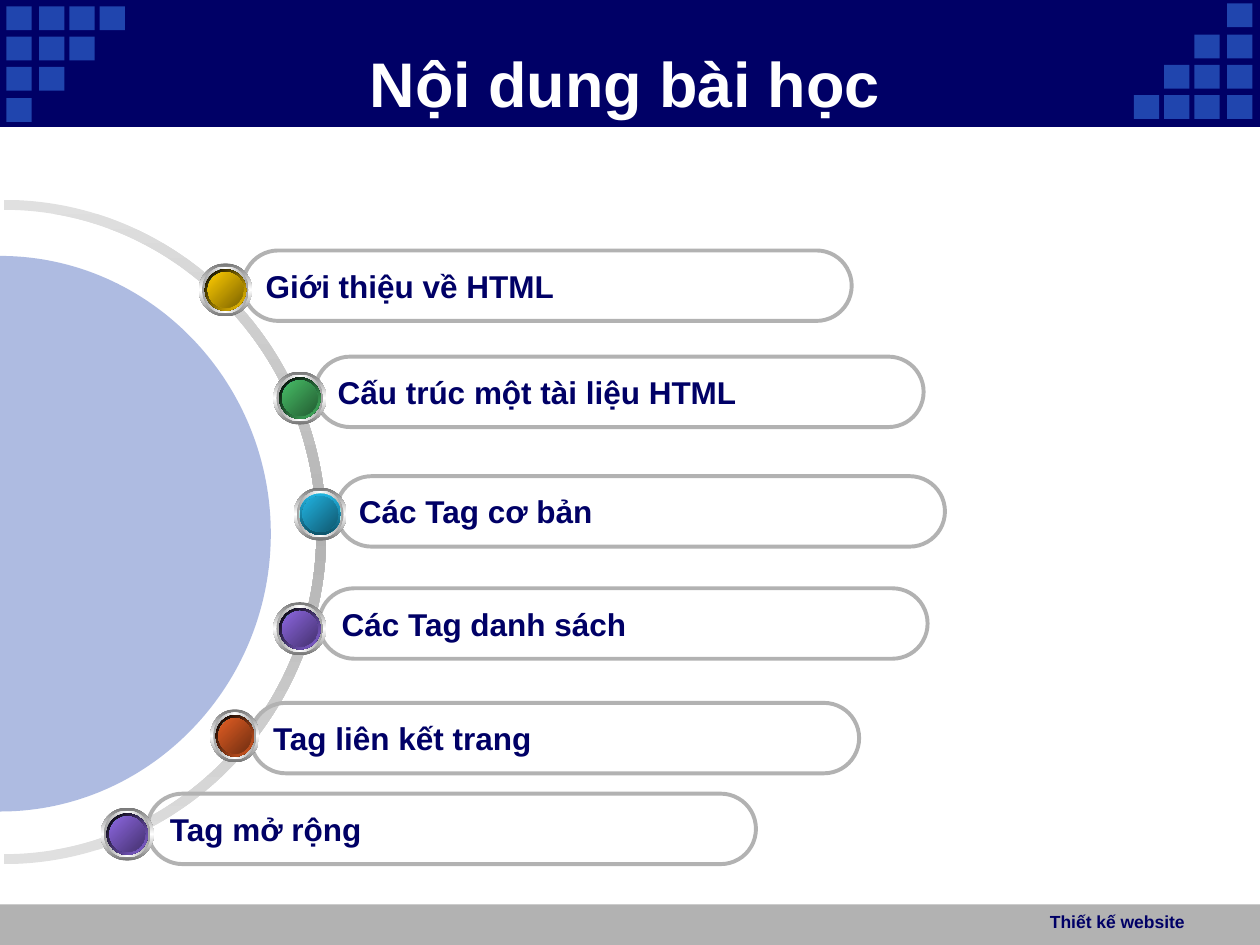
from dataclasses import dataclass

from lxml import etree
from pptx import Presentation
from pptx.dml.color import RGBColor
from pptx.enum.shapes import MSO_SHAPE
from pptx.enum.text import MSO_ANCHOR, MSO_AUTO_SIZE, PP_ALIGN
from pptx.oxml.ns import qn
from pptx.util import Cm, Pt

RECTANGLE = MSO_SHAPE.RECTANGLE
ROUNDED = MSO_SHAPE.ROUNDED_RECTANGLE
OVAL = MSO_SHAPE.OVAL
LEFT, CENTER, RIGHT = PP_ALIGN.LEFT, PP_ALIGN.CENTER, PP_ALIGN.RIGHT
TOP, MIDDLE = MSO_ANCHOR.TOP, MSO_ANCHOR.MIDDLE
NO_AUTOFIT = MSO_AUTO_SIZE.NONE
TITLE_ONLY = 5


@dataclass(frozen=True)
class Stop:
    value: str
    shade: float = 100


@dataclass(frozen=True)
class Theme:
    font: str = "Arial"
    navy: str = "000066"
    blue: str = "2045AE"
    gray: str = "B2B2B2"
    white: str = "FFFFFF"
    ring: tuple = (Stop("E0E0E0"), Stop("B2B2B2"), Stop("E0E0E0"))
    bezel: tuple = (Stop("FFFFFF", 46.3), Stop("FFFFFF"), Stop("FFFFFF", 46.3))
    inner_bezel: tuple = (Stop("FFFFFF", 63.5), Stop("FFFFFF"), Stop("FFFFFF", 63.5))
    glow: tuple = (Stop("FFFFFF"), Stop("3DC5C5"), Stop("FFFFFF"))
    core: tuple = (Stop("3DC5C5", 55.4), Stop("3DC5C5"), Stop("3DC5C5", 55.4))
    title_size: int = 36
    item_size: int = 18
    footer_size: int = 10
    pill_line: float = 2.25
    disc_opacity: int = 36


@dataclass(frozen=True)
class Box:
    left: float
    top: float
    width: float
    height: float

    def lengths(self):
        return Cm(self.left), Cm(self.top), Cm(self.width), Cm(self.height)

    def scaled(self, ratio):
        width, height = self.width * ratio, self.height * ratio
        return Box(self.left + (self.width - width) / 2,
                   self.top + (self.height - height) / 2, width, height)


@dataclass(frozen=True)
class Item:
    text: str
    pill: tuple
    badge: tuple
    value: str
    rim: tuple
    rim_angle: int = 45
    badge_width: float = 1.07


THEME = Theme()


def dark_rim(value):
    return Stop("000000"), Stop(value)


ITEMS = [
    Item("Giới thiệu về HTML", (4.9, 5.05), (4.01, 5.31), "FFCC00", dark_rim("FFCC00")),
    Item("Cấu trúc một tài liệu HTML", (6.35, 7.19), (5.51, 7.49),
         "48BE67", dark_rim("48BE67")),
    Item("Các Tag cơ bản", (6.78, 9.6), (5.92, 9.83),
         "21B3E1", (Stop("21B3E1"), Stop("21B3E1", 47.3)), rim_angle=90),
    Item("Các Tag danh sách", (6.43, 11.86), (5.51, 12.14), "8D67E1", dark_rim("8D67E1")),
    Item("Tag liên kết trang", (5.05, 14.17), (4.24, 14.3),
         "E35E23", dark_rim("E35E23"), badge_width=0.99),
    Item("Tag mở rộng", (2.97, 16), (2.03, 16.28), "8D67E1", dark_rim("8D67E1")),
]
PILL_SIZE = (12.27, 1.42)
BADGE_HEIGHT = 1.07
FACE_SHADE = 49.4
SQUARE_SIZE = (0.51, 0.48)
SQUARE_COLUMNS = (0, 0.66, 1.27, 1.88)
SQUARE_ROWS = (0, 0.61, 1.22, 1.85)
CURVE = 0.55


def color(value):
    return RGBColor.from_string(value)


def fill_solid(shape, value):
    shape.shadow.inherit = False
    shape.line.fill.background()
    shape.fill.solid()
    shape.fill.fore_color.rgb = color(value)


def fill_gradient(shape, stops, angle):
    shape.shadow.inherit = False
    shape.line.fill.background()
    shape.fill.gradient()
    shape.fill.gradient_angle = -angle % 360
    stop_list = shape._element.spPr.find(qn("a:gradFill")).find(qn("a:gsLst"))
    for old_stop in list(stop_list):
        stop_list.remove(old_stop)
    for index, stop in enumerate(stops):
        position = 100000 * index // (len(stops) - 1)
        entry = etree.SubElement(stop_list, qn("a:gs"), pos=str(position))
        stop_color = etree.SubElement(entry, qn("a:srgbClr"), val=stop.value)
        if stop.shade < 100:
            etree.SubElement(stop_color, qn("a:gamma"))
            etree.SubElement(stop_color, qn("a:shade"), val=str(round(stop.shade * 1000)))
            etree.SubElement(stop_color, qn("a:invGamma"))


def write_text(shape, text, size, value, alignment, anchor, wrap=True):
    frame = shape.text_frame
    frame.text = text
    frame.word_wrap = wrap
    frame.auto_size = NO_AUTOFIT
    frame.vertical_anchor = anchor
    paragraph = frame.paragraphs[0]
    paragraph.alignment = alignment
    font = paragraph.font
    font.name, font.size, font.bold = THEME.font, Pt(size), True
    font.color.rgb = color(value)


def half_ellipse(box):
    ratios = [(0, -1), (CURVE, -1), (1, -CURVE), (1, 0), (1, CURVE), (CURVE, 1), (0, 1)]
    return [(Cm(box.left + box.width * x), Cm(box.top + box.height * (1 + y) / 2))
            for x, y in ratios]


def draw_curved(slide, *halves):
    points = [point for half in halves for point in half]
    builder = slide.shapes.build_freeform(*points[0])
    builder.add_line_segments(points[1:], close=True)
    shape = builder.convert_to_shape()
    lines = list(shape._element.iter(qn("a:lnTo")))
    for half_start in range(0, len(points), 7):
        for start in (half_start, half_start + 3):
            segment = lines[start:start + 3]
            curve = etree.Element(qn("a:cubicBezTo"))
            segment[0].addprevious(curve)
            for line in segment:
                curve.append(line[0])
                line.getparent().remove(line)
    return shape


def draw_squares(slide, box, turned):
    group = slide.shapes.add_group_shape()
    width, height = SQUARE_SIZE
    for row, y in enumerate(SQUARE_ROWS):
        for x in SQUARE_COLUMNS[:len(SQUARE_COLUMNS) - row]:
            left = box.width - width - x if turned else x
            top = box.height - height - y if turned else y
            square = Box(box.left + left, box.top + top, width, height)
            fill_solid(group.shapes.add_shape(RECTANGLE, *square.lengths()), THEME.blue)


def draw_backdrop(slide, header, footer):
    fill_solid(slide.shapes.add_shape(RECTANGLE, *footer.lengths()), THEME.gray)
    band = slide.shapes.add_shape(RECTANGLE, *header.lengths())
    fill_solid(band, THEME.navy)
    band.line.color.rgb = color(THEME.navy)
    band.line.width = Pt(0.75)
    draw_squares(slide, Box(header.left + 0.13, header.top + 0.13, 2.39, 2.33), False)
    draw_squares(slide, Box(header.left + header.width - 2.54, header.top + 0.07, 2.39, 2.33), True)
    master_tree = slide.slide_layout.slide_master.shapes._spTree
    for shape in list(slide.shapes):
        if not shape.is_placeholder:
            for properties in shape._element.iter(qn("p:cNvPr")):
                properties.set("id", str(int(properties.get("id")) + 100))
            master_tree.append(shape._element)


def draw_title(slide, box):
    title = slide.shapes.title
    title.left, title.top, title.width, title.height = box.lengths()
    write_text(title, "Nội dung bài học", THEME.title_size, THEME.white, CENTER, MIDDLE)


def draw_footer_label(slide, box):
    label = slide.shapes.add_textbox(*box.lengths())
    write_text(label, "Thiết kế website", THEME.footer_size, THEME.navy, RIGHT, TOP)


def draw_dial(slide, box):
    band = 0.2
    inner = Box(box.left, box.top + band, box.width - band, box.height - 2 * band)
    ring = draw_curved(slide, half_ellipse(box), half_ellipse(inner)[::-1])
    fill_gradient(ring, THEME.ring, 90)
    disc_box = Box(box.left - 0.08, box.top + 1.13, 5.46, 11.2)
    disc = draw_curved(slide, half_ellipse(disc_box))
    fill_solid(disc, THEME.blue)
    fill_color = disc._element.spPr.find(qn("a:solidFill"))[0]
    etree.SubElement(fill_color, qn("a:alpha"), val=str(THEME.disc_opacity * 1000))


def draw_pill(slide, box, text):
    pill = slide.shapes.add_shape(ROUNDED, *box.lengths())
    pill.adjustments[0] = 0.5
    pill.shadow.inherit = False
    pill.fill.background()
    pill.line.color.rgb = color(THEME.gray)
    pill.line.width = Pt(THEME.pill_line)
    write_text(pill, text, THEME.item_size, THEME.navy, LEFT, MIDDLE, wrap=False)


def draw_badge(slide, box, item):
    group = slide.shapes.add_group_shape()
    face = (Stop(item.value), Stop(item.value, FACE_SHADE))
    layers = [(1, THEME.bezel, 90), (0.88, THEME.inner_bezel, 0),
              (0.78, THEME.glow, 45), (0.78, item.rim, item.rim_angle),
              (0.67, THEME.core, 315), (0.67, face, 45)]
    for ratio, stops, angle in layers:
        oval = group.shapes.add_shape(OVAL, *box.scaled(ratio).lengths())
        fill_gradient(oval, stops, angle)


def main():
    presentation = Presentation()
    presentation.slide_width, presentation.slide_height = Cm(25.4), Cm(19.05)
    slide = presentation.slides.add_slide(presentation.slide_layouts[TITLE_ONLY])
    draw_backdrop(slide, Box(0, 0, 25.4, 2.54), Box(0, 18.23, 25.4, 0.82))
    draw_footer_label(slide, Box(19.89, 18.25, 4.24, 0.8))
    draw_title(slide, Box(2.34, 0.87, 20.52, 1.57))
    draw_dial(slide, Box(0.08, 4.03, 6.5, 13.39))
    for item in ITEMS:
        draw_pill(slide, Box(*item.pill, *PILL_SIZE), item.text)
        draw_badge(slide, Box(*item.badge, item.badge_width, BADGE_HEIGHT), item)
    presentation.save("out.pptx")


if __name__ == "__main__":
    main()
